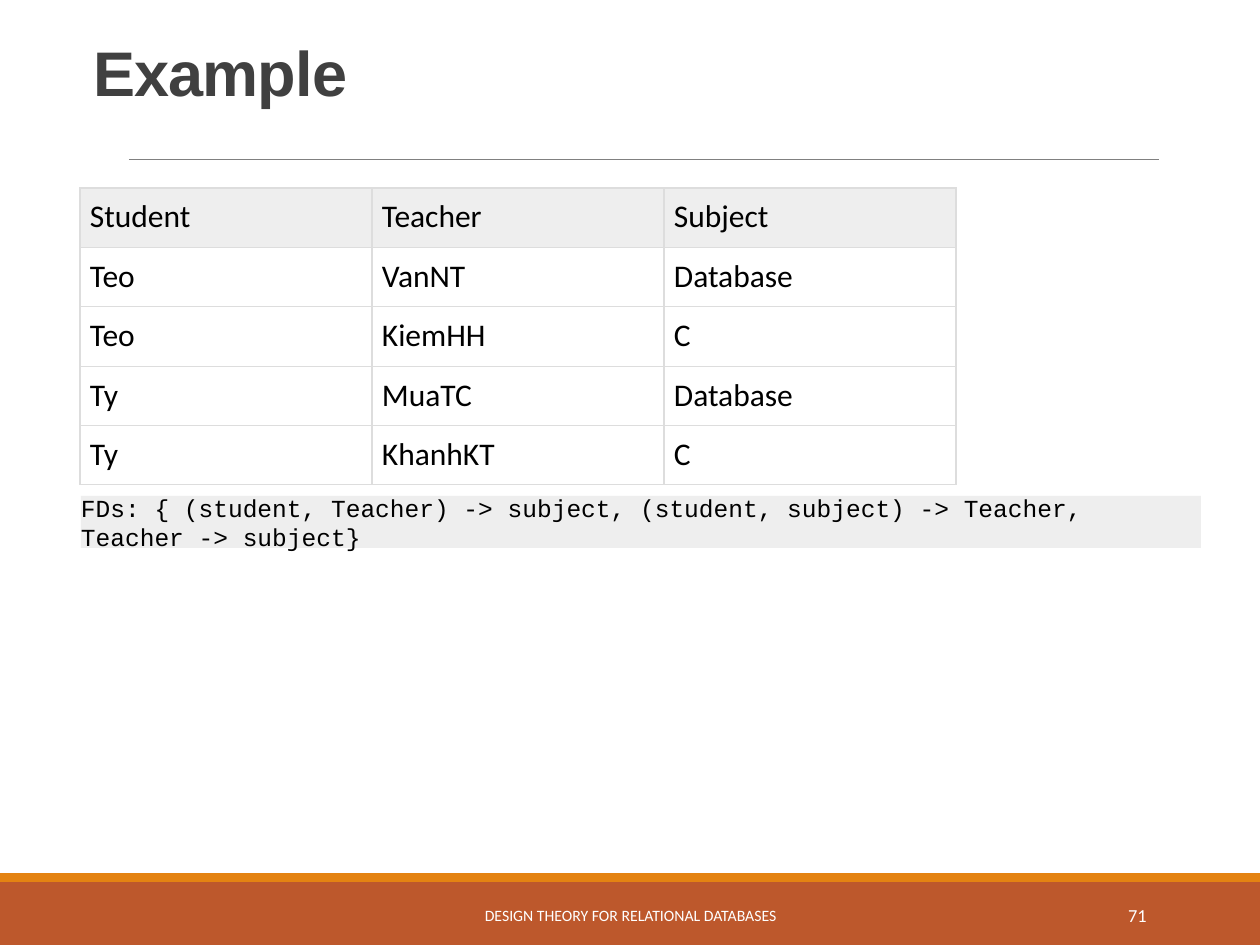
from pptx import Presentation, util as u
from pptx.dml.color import RGBColor
from pptx.enum import shapes, text
from pptx.oxml.ns import qn
from lxml import etree

PX = u.Inches(1) / 126

BARS = [((0, 882, 1260, 63), "BD582C"), ((0, 873, 1260, 9), "E48312")]
RULE = (129, 159, 1159, 159)
ROWS = [
    ("Student", "Teacher", "Subject"),
    ("Teo", "VanNT", "Database"),
    ("Teo", "KiemHH", "C"),
    ("Ty", "MuaTC", "Database"),
    ("Ty", "KhanhKT", "C"),
]
TABLE_BOX = (80, 188, 876, 297)
CELL_MARGIN = 10
DEPENDENCIES = ("FDs: { (student, Teacher) -> subject, (student, subject) -> Teacher, "
                "Teacher -> subject}")
DEPENDENCIES_BOX = (81, 496, 1120, 52)

TITLE = {"name": "Arial", "size": 36, "color": "404040", "bold": True}
CELL = {"name": "Calibri", "size": 18, "color": "000000"}
CODE = {"name": "Courier New", "size": 14, "color": "000000"}
FOOTER = {"name": "Calibri", "size": 9, "color": "FFFFFF"}
NUMBER = {**FOOTER, "size": 10.5}
MIDDLE = text.MSO_ANCHOR.MIDDLE
ALIGN = text.PP_ALIGN


def px(*lengths):
    return [u.Emu(round(length * PX)) for length in lengths]


def rgb(color):
    return RGBColor.from_string(color)


def paint(target, color):
    target.fill.solid()
    target.fill.fore_color.rgb = rgb(color)


def write(frame, words, style, align=ALIGN.LEFT, **frame_format):
    for name, value in frame_format.items():
        setattr(frame, name, value)
    paragraph = frame.paragraphs[0]
    paragraph.alignment = align
    run = paragraph.add_run()
    run.text = words
    for name, value in style.items():
        if name == "color":
            run.font.color.rgb = rgb(value)
        else:
            setattr(run.font, name, u.Pt(value) if name == "size" else value)
    return paragraph


def add_bar(slide, box, color):
    bar = slide.shapes.add_shape(shapes.MSO_SHAPE.RECTANGLE, *px(*box))
    bar.shadow.inherit = False
    bar.line.fill.background()
    paint(bar, color)
    return bar


def add_text(slide, box, *args, **kwargs):
    frame = slide.shapes.add_textbox(*px(*box)).text_frame
    return write(frame, *args, word_wrap=True, **kwargs)


def border(cell, color, points):
    """Line all four sides of a cell; borders must come before the fill."""
    properties = cell._tc.get_or_add_tcPr()
    for index, side in enumerate(("lnL", "lnR", "lnT", "lnB")):
        line = etree.Element(qn(f"a:{side}"), w=str(u.Pt(points)))
        fill = etree.SubElement(line, qn("a:solidFill"))
        etree.SubElement(fill, qn("a:srgbClr"), val=color)
        properties.insert(index, line)


def add_table(slide):
    left, top, width, height = TABLE_BOX
    table = slide.shapes.add_table(len(ROWS), len(ROWS[0]), *px(*TABLE_BOX)).table
    for column in table.columns:
        column.width = px(width / len(ROWS[0]))[0]
    margin = px(CELL_MARGIN)[0]
    for row_index, words in enumerate(ROWS):
        table.rows[row_index].height = px(height / len(ROWS))[0]
        for column_index, word in enumerate(words):
            cell = table.cell(row_index, column_index)
            for side in ("left", "right", "top", "bottom"):
                setattr(cell, f"margin_{side}", margin)
            paint(cell, "FFFFFF" if row_index else "EEEEEE")
            border(cell, "DDDDDD", 0.75)
            write(cell.text_frame, word, CELL)


def main():
    presentation = Presentation()
    presentation.slide_width, presentation.slide_height = px(1260, 945)
    slide = presentation.slides.add_slide(presentation.slide_layouts[6])

    for box, color in BARS:
        add_bar(slide, box, color)
    rule = slide.shapes.add_connector(shapes.MSO_CONNECTOR.STRAIGHT, *px(*RULE))
    rule.line.color.rgb = rgb("808080")
    rule.line.width = u.Pt(0.5)
    etree.SubElement(rule._element.spPr, qn("a:effectLst"))

    title = add_text(slide, (81, 39, 1094, 116), "Example", TITLE)
    title.line_spacing = 0.85
    title.runs[0].font._element.set("spc", "-50")

    add_table(slide)
    add_text(slide, (381, 890, 499, 50), "DESIGN THEORY FOR RELATIONAL DATABASES",
             FOOTER, ALIGN.CENTER, vertical_anchor=MIDDLE)
    add_text(slide, (1023, 890, 136, 50), "71", NUMBER, ALIGN.RIGHT,
             vertical_anchor=MIDDLE)

    inset, wrap_margin = px(11, 8)
    write(add_bar(slide, DEPENDENCIES_BOX, "EEEEEE").text_frame, DEPENDENCIES, CODE,
          word_wrap=True, vertical_anchor=MIDDLE, margin_left=0,
          margin_right=wrap_margin, margin_top=inset, margin_bottom=inset)

    presentation.save("out.pptx")


if __name__ == "__main__":
    main()
